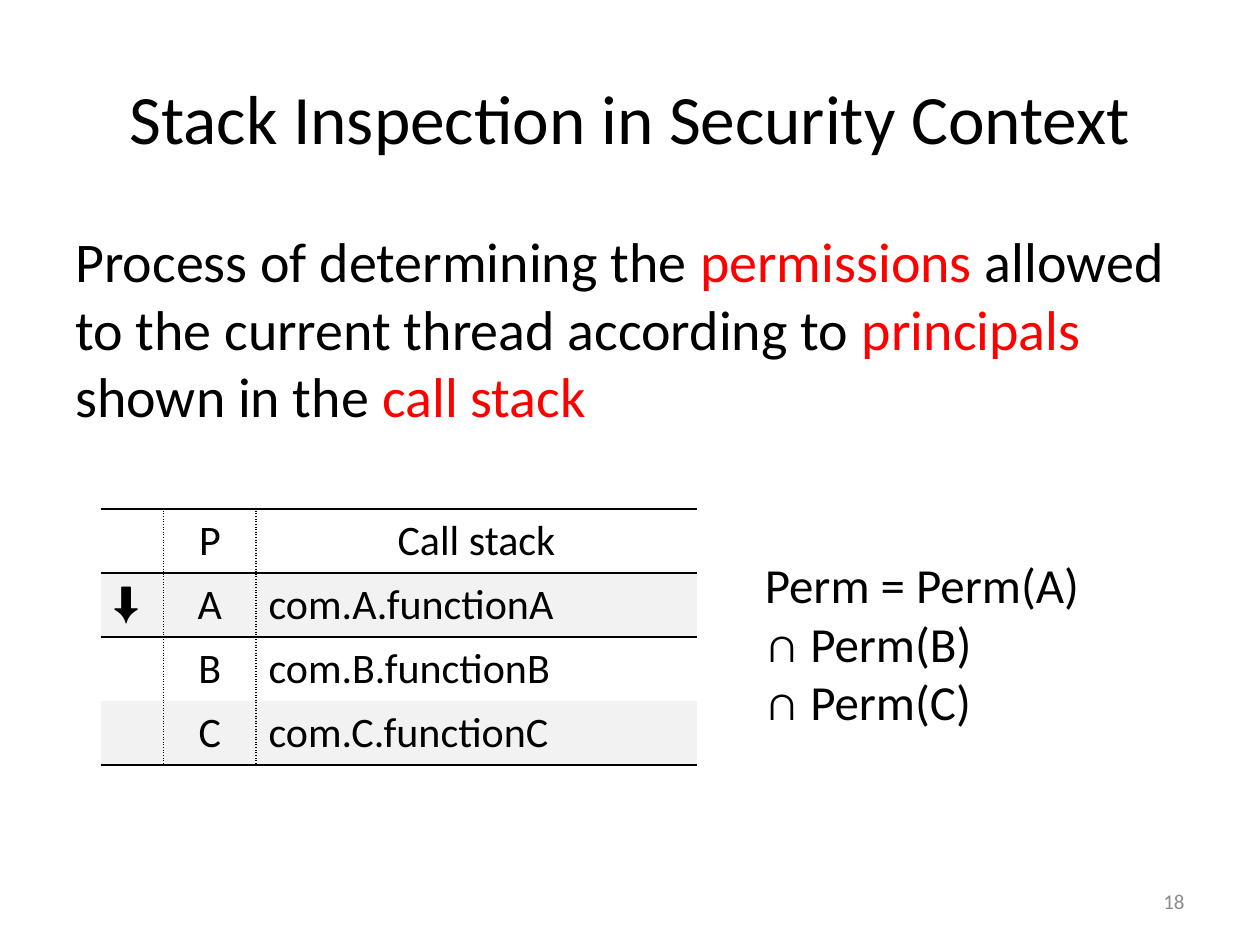
import dataclasses

import pptx
import pptx.dml.color
import pptx.enum.text
import pptx.oxml
import pptx.oxml.ns
import pptx.util

Cm = pptx.util.Cm
ALIGN = pptx.enum.text.PP_ALIGN
ANCHOR = pptx.enum.text.MSO_ANCHOR


@dataclasses.dataclass(frozen=True)
class Theme:
    font: str = "Calibri"
    symbol_font: str = "Arial"
    ink: str = "000000"
    accent: str = "FF0000"
    muted: str = "8C8C8C"
    paper: str = "FFFFFF"
    band: str = "F2F2F2"
    title: float = 39.6
    body: float = 32
    formula: float = 28
    table: float = 24
    number: float = 12


THEME = Theme()


def rgb(value):
    return pptx.dml.color.RGBColor.from_string(value)


def write(frame, text, size, color=THEME.ink, font=THEME.font,
          align=ALIGN.LEFT, anchor=ANCHOR.TOP, wrap=True):
    """Fill a frame; text between asterisks takes the accent colour."""
    frame.word_wrap = wrap
    frame.vertical_anchor = anchor
    para = frame.paragraphs[0]
    para.alignment = align
    # The paragraph font keeps empty cells at the right height
    para.font.size = pptx.util.Pt(size)
    for line_index, line in enumerate(text.split("\n")):
        if line_index:
            para.add_line_break()
        for part_index, part in enumerate(line.split("*")):
            if not part:
                continue
            span = para.add_run()
            span.text = part
            span.font.name = font
            span.font.size = pptx.util.Pt(size)
            span.font.color.rgb = rgb(THEME.accent if part_index % 2 else color)


def add_text(page, left, top, width, height, text, **style):
    box = page.shapes.add_textbox(Cm(left), Cm(top), Cm(width), Cm(height))
    write(box.text_frame, text, **style)


def set_borders(cell, **dashes):
    """Draw the named edges (L, R, T, B) and clear those set to None."""
    properties = cell._tc.get_or_add_tcPr()
    for index, (edge, dash) in enumerate(dashes.items()):
        if dash:
            inside = (f'<a:solidFill><a:srgbClr val="{THEME.ink}"/></a:solidFill>'
                      f'<a:prstDash val="{dash}"/>')
        else:
            inside = "<a:noFill/>"
        line = pptx.oxml.parse_xml(
            f'<a:ln{edge} {pptx.oxml.ns.nsdecls("a")} w="12700">{inside}</a:ln{edge}>')
        properties.insert(index, line)


def add_stack_table(page, left, top, widths, row_height, rows):
    frame = page.shapes.add_table(len(rows), len(widths), Cm(left), Cm(top),
                                  Cm(sum(widths)), Cm(row_height * len(rows)))
    table = frame.table
    table.first_row = table.horz_banding = False
    for column, width in zip(table.columns, widths):
        column.width = Cm(width)
    # Rules lie above and below the header, under the current call and at the end
    ruled = {0, 1, 2, len(rows)}
    last = len(widths) - 1
    for r, row in enumerate(rows):
        table.rows[r].height = Cm(row_height)
        for c, text in enumerate(row):
            cell = table.cell(r, c)
            centred = c == 1 or r == 0
            write(cell.text_frame, text, THEME.table,
                  font=THEME.symbol_font if c == 0 else THEME.font,
                  align=ALIGN.CENTER if centred else ALIGN.LEFT)
            cell.fill.solid()
            cell.fill.fore_color.rgb = rgb(THEME.band if r % 2 else THEME.paper)
            set_borders(cell,
                        L="sysDot" if c > 0 else None,
                        R="sysDot" if c < last else None,
                        T="solid" if r in ruled else None,
                        B="solid" if r + 1 in ruled else None)


def main():
    deck = pptx.Presentation()
    deck.slide_width, deck.slide_height = Cm(25.4), Cm(19.05)
    page = deck.slides.add_slide(deck.slide_layouts[6])

    # Title and definition
    add_text(page, 1.27, 0.76, 22.86, 3.18, "Stack Inspection in Security Context",
             size=THEME.title, align=ALIGN.CENTER, anchor=ANCHOR.MIDDLE)
    add_text(page, 1.27, 4.45, 22.86, 12.57,
             "Process of determining the *permissions* allowed to the current thread "
             "according to *principals* shown in the *call stack*",
             size=THEME.body)

    # Call stack with the principal of each frame
    add_stack_table(page, 2.03, 10.26, (1.27, 1.86, 8.89), 1.29, (
        ("", "P", "Call stack"),
        ("⬇", "A", "com.A.functionA"),
        ("", "B", "com.B.functionB"),
        ("", "C", "com.C.functionC"),
    ))

    # Resulting permissions
    add_text(page, 15.17, 11.05, 6.91, 3.84, "Perm = Perm(A)\n∩ Perm(B)\n∩ Perm(C)",
             size=THEME.formula, wrap=False)

    # Page number
    add_text(page, 18.2, 17.66, 5.93, 1.01, "18", size=THEME.number,
             color=THEME.muted, align=ALIGN.RIGHT, anchor=ANCHOR.MIDDLE)

    deck.save("out.pptx")


if __name__ == "__main__":
    main()
